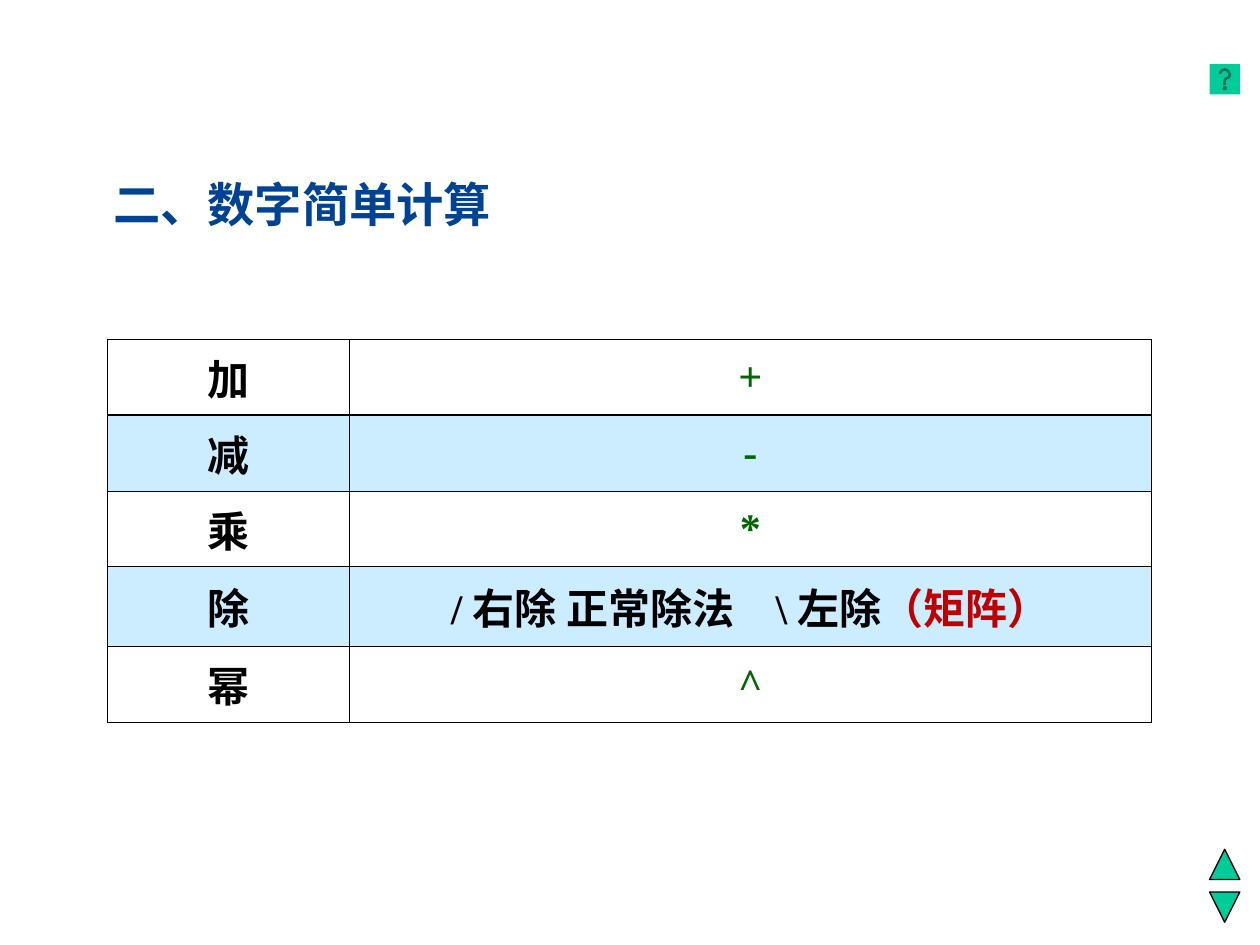
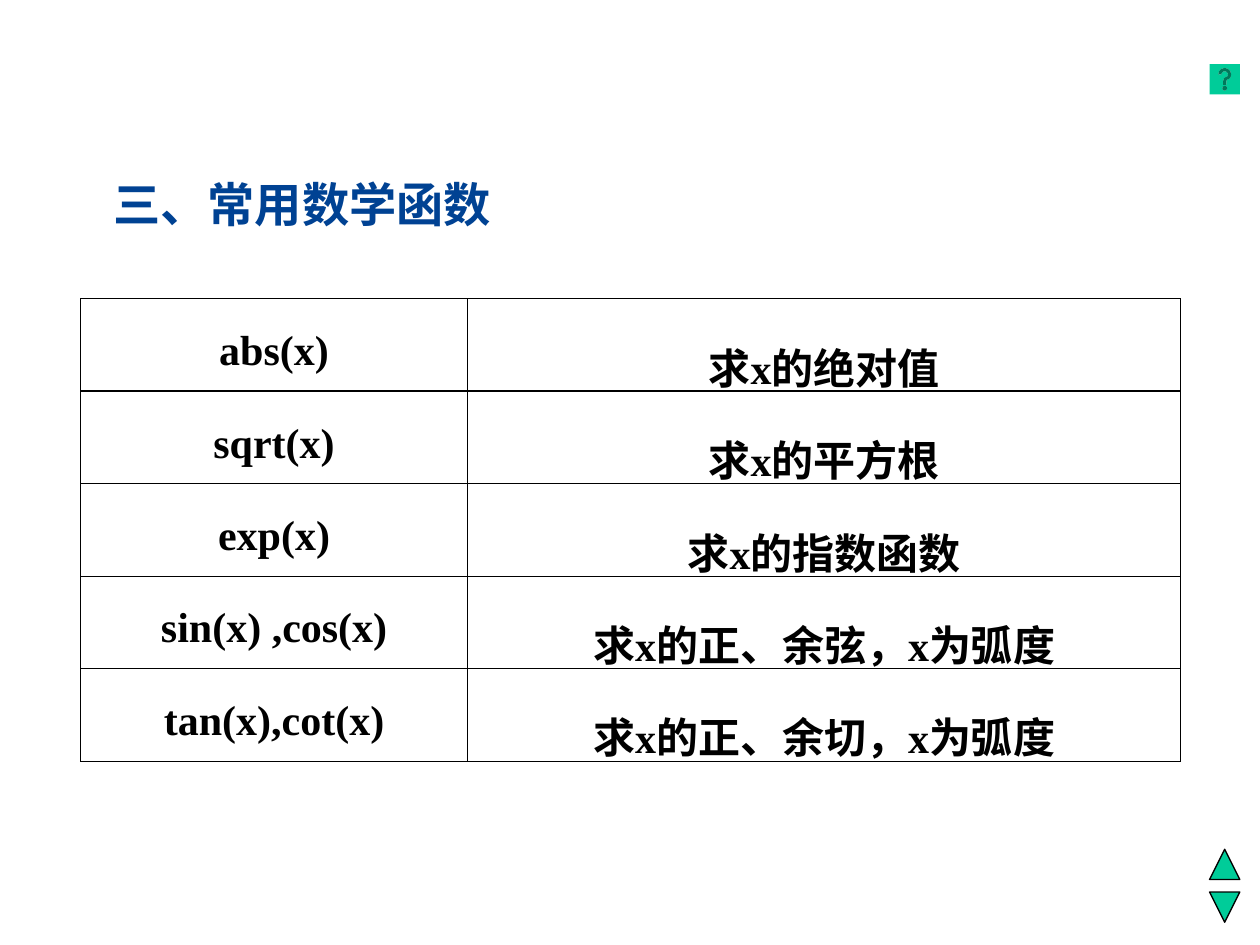
import pptx
import pptx.dml.color
import pptx.enum.shapes
import pptx.enum.text
import pptx.oxml.ns
import pptx.util
from lxml import etree

COLUMNS, ROWS = 100, 75
WIDTH, HEIGHT = pptx.util.Inches(10), pptx.util.Inches(7.5)
INK, NAVY, TEAL, GREEN, RED, SKY = (
    "000000", "004293", "00CC99", "006600", "C00000", "CCECFF")
HAN, LATIN = "Noto Sans CJK SC", "Times New Roman"
HAIRLINE, HEADER_RULE = 0.45, 0.96
SHAPE = pptx.enum.shapes.MSO_SHAPE
ANCHOR = pptx.enum.text.MSO_ANCHOR
CENTER = pptx.enum.text.PP_ALIGN.CENTER


def rgb(code):
    return pptx.dml.color.RGBColor.from_string(code)


def across(columns):
    return round(WIDTH * columns / COLUMNS)


def down(rows):
    return round(HEIGHT * rows / ROWS)


def assign(target, **values):
    for name, value in values.items():
        setattr(target, name, value)


def child(parent, tag, **attributes):
    return etree.SubElement(parent, pptx.oxml.ns.qn(tag), attributes)


class Lesson:
    def __init__(self):
        self.deck = pptx.Presentation()
        assign(self.deck, slide_width=WIDTH, slide_height=HEIGHT)
        self.slide = None

    def page(self, heading):
        self.slide = self.deck.slides.add_slide(self.deck.slide_layouts[6])
        self.button(SHAPE.FLOWCHART_EXTRACT, 67.4, outlined=True)
        self.button(SHAPE.FLOWCHART_MERGE, 70.8, outlined=True)
        self.button(SHAPE.ACTION_BUTTON_HELP, 5.1)
        self.title(heading)

    def button(self, kind, top, outlined=False):
        button = self.slide.shapes.add_shape(
            kind, across(96), down(top), across(2.4), down(2.4))
        button.shadow.inherit = False
        button.fill.solid()
        button.fill.fore_color.rgb = rgb(TEAL)
        if outlined:
            button.line.color.rgb = rgb(INK)
            button.line.width = pptx.util.Pt(0.75)
        else:
            button.line.fill.background()

    def title(self, heading):
        frame = self.slide.shapes.add_textbox(
            across(8), down(13.4), across(46.9), down(5.5)).text_frame
        assign(frame, word_wrap=True, vertical_anchor=ANCHOR.MIDDLE,
               auto_size=pptx.enum.text.MSO_AUTO_SIZE.SHAPE_TO_FIT_TEXT)
        self.run(frame.paragraphs[0], heading, NAVY, size=27, face=HAN)

    def run(self, paragraph, words, color=INK, size=24, face=LATIN, tracking=0):
        """Add bold text; tracking is extra space after each letter, in points."""
        run = paragraph.add_run()
        run.text = words
        assign(run.font, name=face, size=pptx.util.Pt(size), bold=True)
        run.font.color.rgb = rgb(color)
        properties = run.font._element
        child(properties, "a:ea", typeface=HAN)
        if tracking:
            properties.set("spc", str(tracking * 100))

    def borders(self, cell, row):
        widths = {"L": HAIRLINE, "R": HAIRLINE,
                  "T": HEADER_RULE if row == 1 else HAIRLINE,
                  "B": HEADER_RULE if row == 0 else HAIRLINE}
        properties = cell._tc.get_or_add_tcPr()
        for side, width in widths.items():
            edge = child(properties, f"a:ln{side}", w=str(pptx.util.Pt(width)))
            child(child(edge, "a:solidFill"), "a:srgbClr", val=INK)

    def shade(self, cell, banded):
        if not banded:
            cell.fill.background()
            return
        cell.fill.solid()
        cell.fill.fore_color.rgb = rgb(SKY)
        tint = cell._tc.tcPr.find(".//" + pptx.oxml.ns.qn("a:srgbClr"))
        child(tint, "a:alpha", val="50000")

    def table(self, left, top, widths, heights, entries, inset=1.0,
              spacing=None, banded=False, first_anchor=ANCHOR.MIDDLE):
        """Each cell of entries is a list of run arguments: (words, color...)."""
        table = self.slide.shapes.add_table(
            len(heights), len(widths), across(left), down(top),
            across(sum(widths)), down(sum(heights))).table
        assign(table, first_row=False, horz_banding=False)
        for column, width in zip(table.columns, widths):
            column.width = across(width)
        for r, (height, row) in enumerate(zip(heights, entries)):
            table.rows[r].height = down(height)
            for c, runs in enumerate(row):
                cell = table.cell(r, c)
                assign(cell, margin_left=across(inset), margin_right=across(inset),
                       margin_top=down(0.5), margin_bottom=down(0.5),
                       vertical_anchor=ANCHOR.MIDDLE if c else first_anchor)
                paragraph = cell.text_frame.paragraphs[0]
                assign(paragraph, alignment=CENTER, line_spacing=spacing)
                for arguments in runs:
                    self.run(paragraph, *arguments)
                self.borders(cell, r)
                self.shade(cell, banded and r % 2 == 1)


def main():
    lesson = Lesson()

    lesson.page("二、数字简单计算")
    division = [("/ 右除 正常除法",), (" ", INK, 24, LATIN, 18),
                ("\\ 左除",), ("（矩阵）", RED)]
    operators = [("加", [("+", GREEN)]), ("减", [("-", GREEN)]),
                 ("乘", [("*", GREEN)]), ("除", division), ("幂", [("^", GREEN)])]
    lesson.table(8.5, 26.9, [19.2, 63.7], [6.03, 6.03, 6.03, 6.34, 6.03],
                 [([(name, INK, 24, HAN)], symbol) for name, symbol in operators],
                 inset=0.8, banded=True)

    lesson.page("三、常用数学函数")
    functions = [("abs(x)", "求x的绝对值"), ("sqrt(x)", "求x的平方根"),
                 ("exp(x)", "求x的指数函数"),
                 ("sin(x) ,cos(x)", "求x的正、余弦，x为弧度"),
                 ("tan(x),cot(x)", "求x的正、余切，x为弧度")]
    lesson.table(6.4, 23.7, [30.7, 56.6], [7.34] * len(functions),
                 [([(call,)], [(meaning,)]) for call, meaning in functions],
                 spacing=1.5, first_anchor=ANCHOR.TOP)

    lesson.deck.save("out.pptx")


if __name__ == "__main__":
    main()
